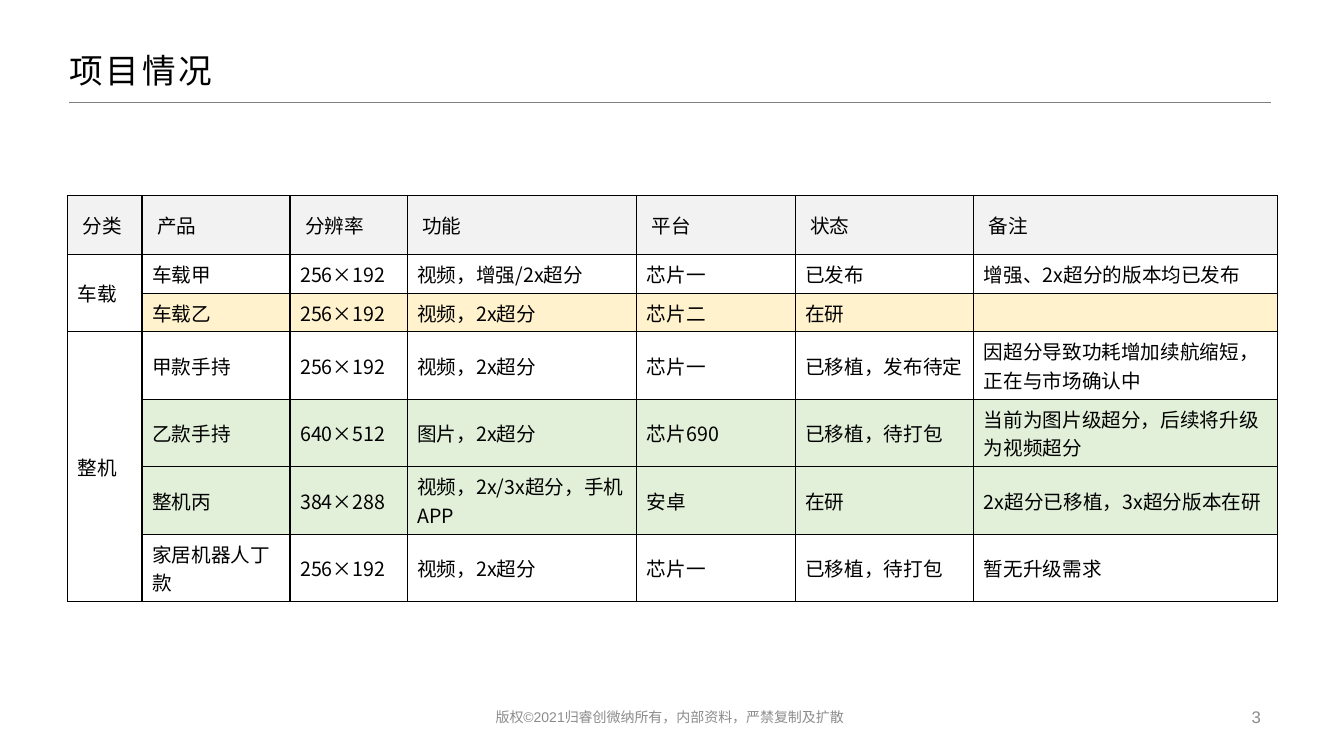
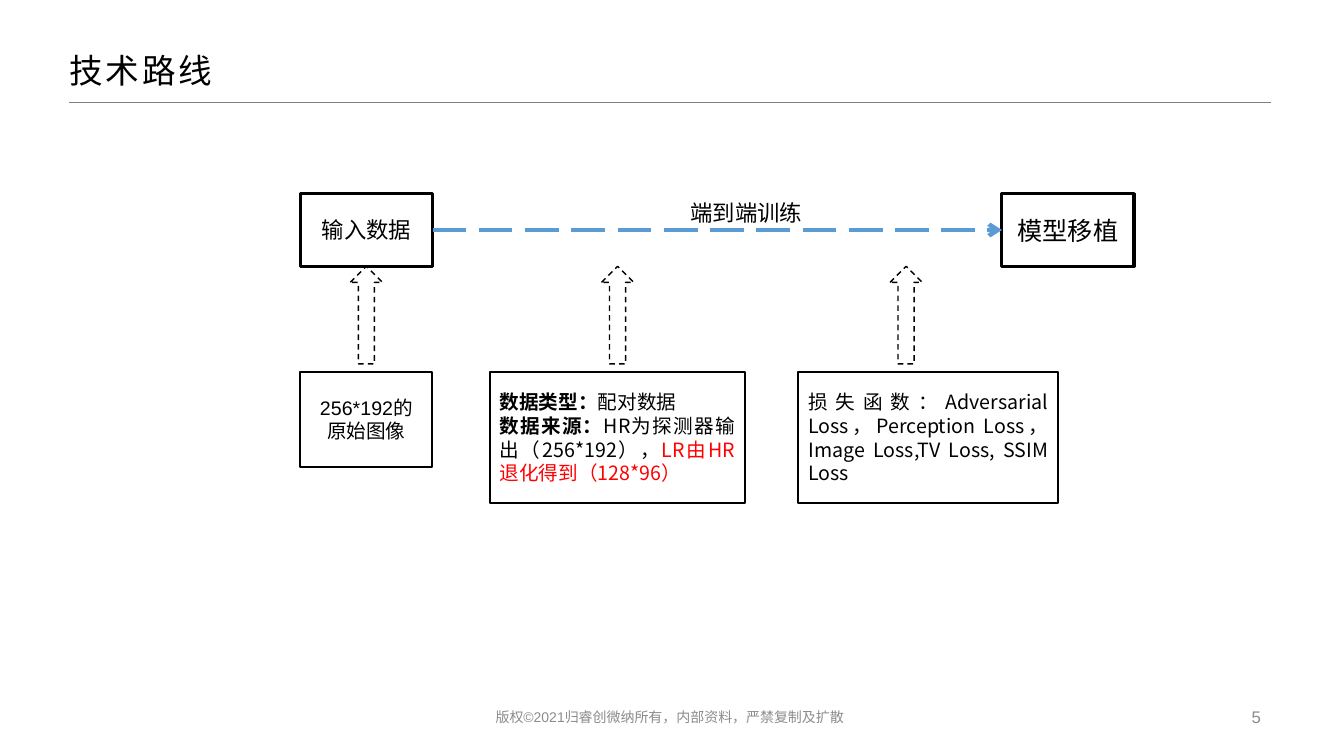
from lxml.etree import SubElement
from pptx import Presentation
from pptx.dml.color import RGBColor
from pptx.enum.dml import MSO_LINE
from pptx.enum.shapes import MSO_CONNECTOR, MSO_SHAPE
from pptx.enum.text import MSO_ANCHOR, PP_ALIGN
from pptx.oxml import parse_xml
from pptx.oxml.ns import nsdecls, qn
from pptx.util import Cm, Pt

BLACK = RGBColor(0x00, 0x00, 0x00)
WHITE = RGBColor(0xFF, 0xFF, 0xFF)
RED = RGBColor(0xFF, 0x00, 0x00)
BLUE = RGBColor(0x5B, 0x9B, 0xD5)
RULE_GREY = RGBColor(0x80, 0x80, 0x80)
FOOTER_GREY = RGBColor(0x8C, 0x8C, 0x8C)
HEADER_FILL = RGBColor(0xF2, 0xF2, 0xF2)
YELLOW_FILL = RGBColor(0xFF, 0xF2, 0xCC)
GREEN_FILL = RGBColor(0xE2, 0xF0, 0xD9)
SANS = "Noto Sans CJK SC"
ARIAL = "Arial"
FOOTER = "版权©2021归睿创微纳所有，内部资料，严禁复制及扩散"


def style_paragraph(para, size, name=SANS, color=BLACK, align=PP_ALIGN.LEFT):
    """Set alignment and the Latin and East Asian font of a paragraph."""
    para.alignment = align
    font = para.font
    font.size, font.name = Pt(size), name
    font.color.rgb = color
    properties = para._p.pPr.find(qn("a:defRPr"))
    SubElement(properties, qn("a:ea")).set("typeface", name)
    return properties


def add_text(page, text, left, top, width, height, size, color=BLACK, align=PP_ALIGN.LEFT):
    box = page.shapes.add_textbox(Cm(left), Cm(top), Cm(width), Cm(height))
    frame = box.text_frame
    frame.word_wrap = True
    frame.vertical_anchor = MSO_ANCHOR.MIDDLE
    frame.text = text
    style_paragraph(frame.paragraphs[0], size, ARIAL, color, align)


deck = Presentation()
deck.slide_width, deck.slide_height = Cm(33.87), Cm(19.05)

# Shared frame: title, rule, footer and page number
pages = []
for heading, number in (("项目情况", "3"), ("技术路线", "5")):
    page = deck.slides.add_slide(deck.slide_layouts[5])
    pages.append(page)

    rule = page.shapes.add_connector(MSO_CONNECTOR.STRAIGHT, Cm(1.75), Cm(2.57), Cm(32.03), Cm(2.57))
    rule.line.color.rgb = RULE_GREY
    rule.line.width = Pt(0.5)
    SubElement(rule._element.spPr, qn("a:effectLst"))

    add_text(page, FOOTER, 12.24, 17.63, 9.4, 0.89, 10, FOOTER_GREY)
    add_text(page, number, 23.93, 17.63, 8.1, 0.89, 12, FOOTER_GREY, PP_ALIGN.RIGHT)

    title = page.shapes.title
    title.left, title.top, title.width, title.height = Cm(1.47), Cm(0.86), Cm(25.2), Cm(1.8)
    frame = title.text_frame
    frame.text = heading
    frame.vertical_anchor = MSO_ANCHOR.MIDDLE
    frame.margin_left, frame.margin_right = Cm(0.28), Cm(0.2)
    frame.margin_top = frame.margin_bottom = Cm(0.1)
    style_paragraph(frame.paragraphs[0], 24).set("spc", "200")

project_page, route_page = pages

# Project table
project_rows = (
    (HEADER_FILL, ("分类", "产品", "分辨率", "功能", "平台", "状态", "备注")),
    (WHITE, ("车载", "车载甲", "256×192", "视频，增强/2x超分", "芯片一", "已发布", "增强、2x超分的版本均已发布")),
    (YELLOW_FILL, ("", "车载乙", "256×192", "视频，2x超分", "芯片二", "在研", "")),
    (WHITE, ("整机", "甲款手持", "256×192", "视频，2x超分", "芯片一", "已移植，发布待定",
             "因超分导致功耗增加续航缩短，正在与市场确认中")),
    (GREEN_FILL, ("", "乙款手持", "640×512", "图片，2x超分", "芯片690", "已移植，待打包",
                  "当前为图片级超分，后续将升级为视频超分")),
    (GREEN_FILL, ("", "整机丙", "384×288", "视频，2x/3x超分，手机APP", "安卓", "在研",
                  "2x超分已移植，3x超分版本在研")),
    (WHITE, ("", "家居机器人丁款", "256×192", "视频，2x超分", "芯片一", "已移植，待打包", "暂无升级需求")),
)
column_widths = (1.88, 3.73, 2.95, 5.79, 3.99, 4.5, 7.65)
row_heights = (1.49, 0.97, 0.97, 1.7, 1.7, 1.7, 1.7)
table = project_page.shapes.add_table(
    len(row_heights), len(column_widths), Cm(1.7), Cm(4.93),
    Cm(sum(column_widths)), Cm(sum(row_heights))).table
for column, width in zip(table.columns, column_widths):
    column.width = Cm(width)
for row, height, (fill, texts) in zip(table.rows, row_heights, project_rows):
    row.height = Cm(height)
    for index, (cell, text) in enumerate(zip(row.cells, texts)):
        cell.text = text
        cell.vertical_anchor = MSO_ANCHOR.MIDDLE
        cell.fill.solid()
        cell.fill.fore_color.rgb = WHITE if index == 0 and fill != HEADER_FILL else fill
        if fill == HEADER_FILL:
            cell.margin_left = cell.margin_right = Cm(0.38)
            cell.margin_top = cell.margin_bottom = Cm(0.38)
        style_paragraph(cell.text_frame.paragraphs[0], 14)
        for position, side in enumerate(("lnL", "lnR", "lnT", "lnB")):
            border = parse_xml(
                f'<a:{side} {nsdecls("a")} w="12700"><a:solidFill>'
                f'<a:srgbClr val="{BLACK}"/></a:solidFill></a:{side}>')
            cell._tc.get_or_add_tcPr().insert(position, border)
for first, last in ((1, 2), (3, 6)):
    table.cell(first, 0).merge(table.cell(last, 0))

# Technical route: each paragraph is a list of (text, bold, colour) spans
CENTER, JUSTIFY = PP_ALIGN.CENTER, PP_ALIGN.JUSTIFY
route_boxes = (
    (7.57, 4.88, 3.33, 1.83, 2.25, 16, ARIAL, CENTER, [[("输入数据", False, BLACK)]]),
    (25.25, 4.88, 3.33, 1.83, 2.25, 18, ARIAL, CENTER, [[("模型移植", False, BLACK)]]),
    (7.57, 9.37, 3.33, 2.39, 1.5, 14, ARIAL, CENTER, [[("256*192的原始图像", False, BLACK)]]),
    (12.34, 9.37, 6.43, 3.3, 1.5, 14, SANS, JUSTIFY, [
        [("数据类型：", True, BLACK), ("配对数据", False, BLACK)],
        [("数据来源：", True, BLACK), ("HR为探测器输出（256*192），", False, BLACK),
         ("LR由HR退化得到（128*96）", False, RED)]]),
    (20.12, 9.37, 6.55, 3.3, 1.5, 14, SANS, JUSTIFY, [
        [("损失函数：Adversarial Loss，Perception Loss，Image Loss,TV Loss, SSIM Loss", False, BLACK)]]),
)
boxes = []
for left, top, width, height, weight, size, name, align, paragraphs in route_boxes:
    box = route_page.shapes.add_shape(MSO_SHAPE.RECTANGLE, Cm(left), Cm(top), Cm(width), Cm(height))
    boxes.append(box)
    box.shadow.inherit = False
    box.fill.solid()
    box.fill.fore_color.rgb = WHITE
    box.line.color.rgb = BLACK
    box.line.width = Pt(weight)
    frame = box.text_frame
    frame.word_wrap = True
    frame.vertical_anchor = MSO_ANCHOR.MIDDLE
    for index, spans in enumerate(paragraphs):
        para = frame.add_paragraph() if index else frame.paragraphs[0]
        if name == SANS:
            para.line_spacing = Pt(17)
        style_paragraph(para, size, name, BLACK, align)
        for text, bold, color in spans:
            span = para.add_run()
            span.text = text
            if bold:
                span.font.bold = True
            if color != BLACK:
                span.font.color.rgb = color

training = route_page.shapes.add_connector(MSO_CONNECTOR.STRAIGHT, 0, 0, 0, 0)
training.begin_connect(boxes[0], 3)
training.end_connect(boxes[1], 1)
training.line.color.rgb = BLUE
training.line.width = Pt(3)
training.line.dash_style = MSO_LINE.LONG_DASH
SubElement(training.line._get_or_add_ln(), qn("a:tailEnd")).set("type", "arrow")
SubElement(training._element.spPr, qn("a:effectLst"))
add_text(route_page, "端到端训练", 16.41, 4.88, 4.8, 0.97, 16, align=CENTER)

for left in (8.83, 15.16, 22.43):
    arrow = route_page.shapes.add_shape(MSO_SHAPE.UP_ARROW, Cm(left), Cm(6.71), Cm(0.81), Cm(2.46))
    arrow.shadow.inherit = False
    arrow.fill.background()
    arrow.line.color.rgb = BLACK
    arrow.line.width = Pt(1)
    arrow.line.dash_style = MSO_LINE.DASH

deck.save("out.pptx")
